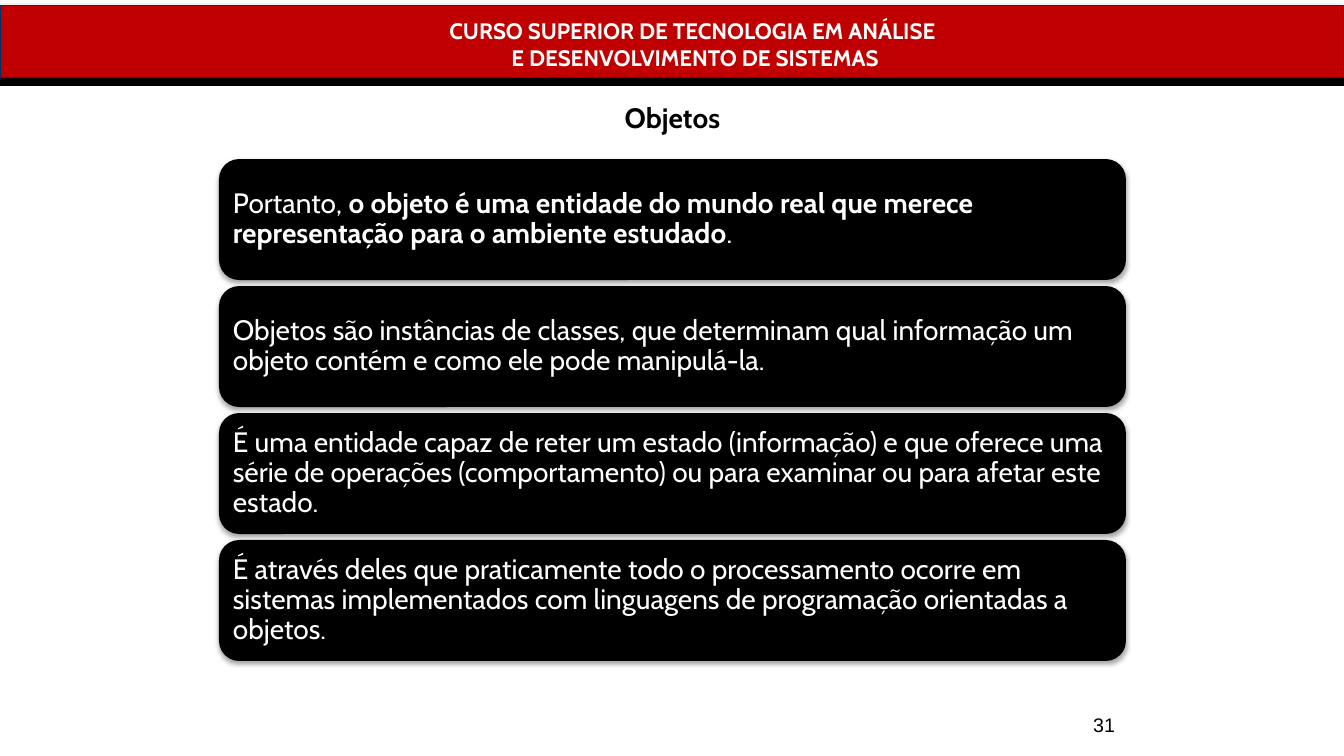
from lxml.etree import SubElement
from pptx import Presentation
from pptx.dml.color import RGBColor
from pptx.enum.shapes import MSO_CONNECTOR, MSO_SHAPE
from pptx.enum.text import MSO_ANCHOR, PP_ALIGN
from pptx.oxml.ns import qn
from pptx.util import Emu, Pt

SLIDE_W, SLIDE_H = 1344, 756
EMU_PER_PX = 914400 / 100.8

COURSE = ["CURSO SUPERIOR DE TECNOLOGIA EM ANÁLISE ", "E DESENVOLVIMENTO DE SISTEMAS"]
# Each statement is a list of runs; every second run is bold
STATEMENTS = [
    ["Portanto, ",
     "o objeto é uma entidade do mundo real que merece representação para o ambiente estudado",
     "."],
    ["Objetos são instâncias de classes, que determinam qual informação um objeto "
     "contém e como ele pode manipulá-la."],
    ["É uma entidade capaz de reter um estado (informação) e que oferece uma série de "
     "operações (comportamento) ou para examinar ou para afetar este estado."],
    ["É através deles que praticamente todo o processamento ocorre em sistemas "
     "implementados com linguagens de programação orientadas a objetos."],
]


def px(length):
    return Emu(round(length * EMU_PER_PX))


def color(hex_code):
    return RGBColor.from_string(hex_code)


def write(frame, paragraphs, size=20, font="Cabin", ink="000000", bold=False,
          align=PP_ALIGN.LEFT, anchor=MSO_ANCHOR.TOP, spacing=None):
    """Fill a text frame; paragraphs are lists of runs with alternating weight."""
    frame.word_wrap = True
    frame.vertical_anchor = anchor
    for index, runs in enumerate(paragraphs):
        paragraph = frame.paragraphs[0] if index == 0 else frame.add_paragraph()
        paragraph.alignment = align
        paragraph.line_spacing = spacing
        for position, words in enumerate(runs):
            run = paragraph.add_run()
            run.text = words
            run.font.name = font
            run.font.size = Pt(size)
            run.font.bold = bold or position % 2 == 1
            run.font.color.rgb = color(ink)


def add_text(slide, box, paragraphs, **text_format):
    label = slide.shapes.add_textbox(*map(px, box))
    write(label.text_frame, paragraphs, **text_format)


def add_panel(slide, kind, box, fill, outline=None):
    """Add a filled shape with a soft shadow below it."""
    panel = slide.shapes.add_shape(kind, *map(px, box))
    panel.fill.solid()
    panel.fill.fore_color.rgb = color(fill)
    if outline:
        panel.line.color.rgb = color(outline)
        panel.line.width = Pt(0.75)
    else:
        panel.line.fill.background()
    panel.shadow.inherit = False
    effects = panel.element.spPr.find(qn("a:effectLst"))
    shadow = SubElement(effects, qn("a:outerShdw"), blurRad=str(Pt(3.1)),
                        dist=str(Pt(1.8)), dir="5400000", rotWithShape="0")
    shade = SubElement(shadow, qn("a:srgbClr"), val="000000")
    SubElement(shade, qn("a:alpha"), val="35000")
    return panel


def add_header(slide, left, top, width, height):
    # Red band with the course name
    add_panel(slide, MSO_SHAPE.RECTANGLE, (left, top, width, height), "C00000", "003264")
    add_text(slide, (left + 174, top + 6, 1042, 65), [[line] for line in COURSE],
             size=16, ink="FFFFFF", bold=True, align=PP_ALIGN.CENTER)
    # Black rule under the band
    rule_y = px(top + height + 4)
    rule = slide.shapes.add_connector(MSO_CONNECTOR.STRAIGHT,
                                      px(left), rule_y, px(left + width), rule_y)
    rule.line.color.rgb = color("000000")
    rule.line.width = Pt(6)
    SubElement(rule.element.spPr, qn("a:effectLst"))


def add_statements(slide, left, top, width, height, gap=6):
    card_height = (height - gap * (len(STATEMENTS) - 1)) / len(STATEMENTS)
    for index, runs in enumerate(STATEMENTS):
        card_top = top + index * (card_height + gap)
        card = add_panel(slide, MSO_SHAPE.ROUNDED_RECTANGLE,
                         (left, card_top, width, card_height), "000000")
        frame = card.text_frame
        frame.margin_left = frame.margin_right = px(8)
        frame.margin_top = frame.margin_bottom = px(8)
        write(frame, [runs], ink="FFFFFF", anchor=MSO_ANCHOR.MIDDLE, spacing=0.9)


def main():
    deck = Presentation()
    deck.slide_width, deck.slide_height = px(SLIDE_W), px(SLIDE_H)
    slide = deck.slides.add_slide(deck.slide_layouts[6])

    add_header(slide, 0, 6, SLIDE_W, 72)
    # Title
    add_text(slide, (219, 42, 907, 151), [["Objetos"]], bold=True,
             align=PP_ALIGN.CENTER, anchor=MSO_ANCHOR.MIDDLE)
    add_statements(slide, 219, 159, 907, 502)
    # Page number
    add_text(slide, (890, 688, 235, 53), [["31"]], size=14, font="Arial",
             align=PP_ALIGN.RIGHT, anchor=MSO_ANCHOR.BOTTOM)

    deck.save("out.pptx")


if __name__ == "__main__":
    main()
